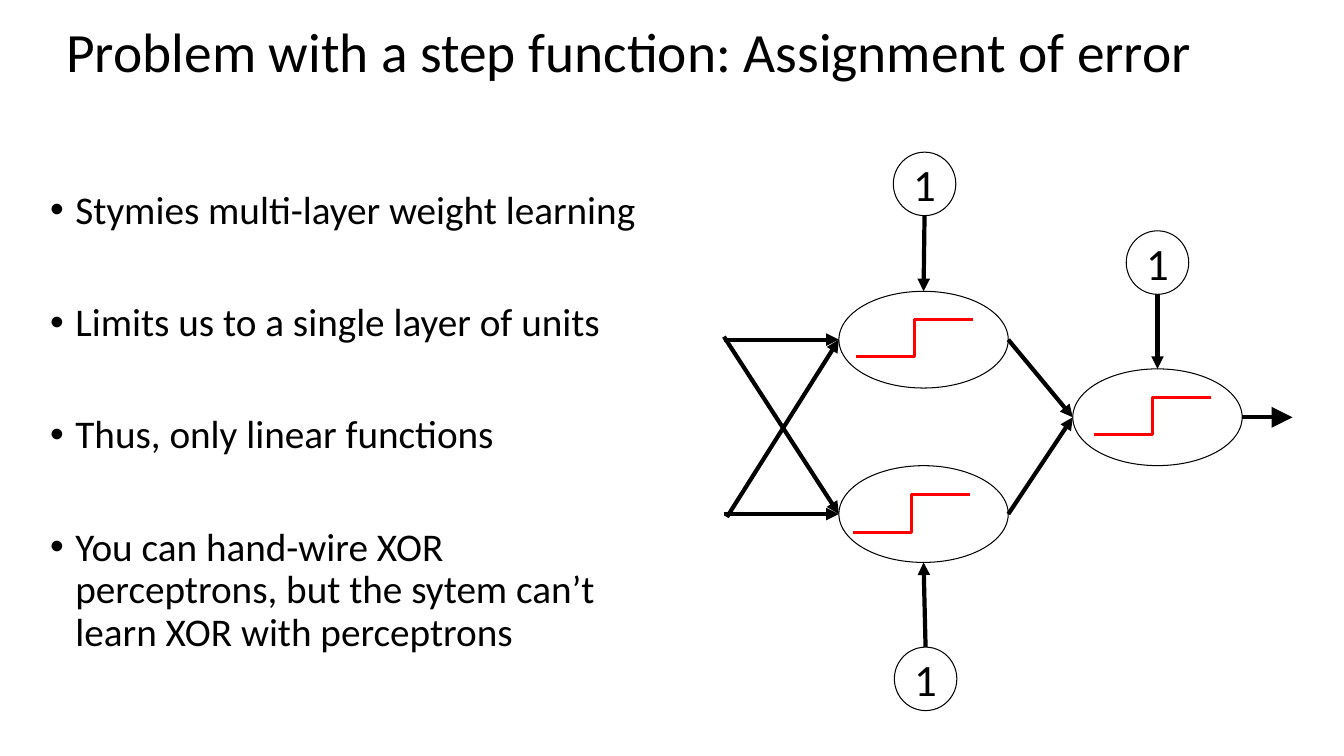
import pptx
import pptx.dml.color
import pptx.enum.shapes
import pptx.enum.text
import pptx.oxml
import pptx.oxml.ns
import pptx.util
from dataclasses import dataclass

Inches, Pt = pptx.util.Inches, pptx.util.Pt
RGB = pptx.dml.color.RGBColor.from_string
ALIGN = pptx.enum.text.PP_ALIGN
ANCHOR = pptx.enum.text.MSO_ANCHOR
CONNECTOR = pptx.enum.shapes.MSO_CONNECTOR
OVAL = pptx.enum.shapes.MSO_SHAPE.OVAL


@dataclass(frozen=True)
class Theme:
    font: str = "Calibri"
    ink: str = "000000"
    paper: str = "FFFFFF"
    step: str = "FF0000"
    title_size: float = 39.6
    body_size: float = 28
    bias_size: float = 32
    outline: float = 0.75
    step_line: float = 2
    arrow_line: float = 3


def add_xml(parent, tag, **attrs):
    el = pptx.oxml.parse_xml(f"<a:{tag} {pptx.oxml.ns.nsdecls('a')}/>")
    for name, value in attrs.items():
        el.set(name, value)
    parent.append(el)


def write(tf, paragraphs, *, size, color, font, align=ALIGN.LEFT,
          anchor=ANCHOR.TOP, wrap=True, spacing=1.0, gap=0, bullet=None):
    tf.word_wrap = wrap
    tf.vertical_anchor = anchor
    for i, text in enumerate(paragraphs):
        p = tf.paragraphs[0] if i == 0 else tf.add_paragraph()
        p.alignment = align
        p.line_spacing = spacing
        if i:
            p.space_before = Pt(gap)
        if bullet:
            pPr = p._p.get_or_add_pPr()
            pPr.set("marL", str(Inches(0.25)))
            pPr.set("indent", str(-Inches(0.25)))
            add_xml(pPr, "buFont", typeface="Arial")
            add_xml(pPr, "buChar", char=bullet)
        r = p.add_run()
        r.text = text
        r.font.name = font
        r.font.size = Pt(size)
        r.font.color.rgb = RGB(color)


class SlideBuilder:
    def __init__(self, slide, theme):
        self.slide = slide
        self.theme = theme

    def text(self, box, paragraphs, **fmt):
        sp = self.slide.shapes.add_textbox(*map(Inches, box))
        write(sp.text_frame, paragraphs, color=self.theme.ink,
              font=self.theme.font, spacing=0.9, **fmt)

    def oval(self, box, fill=None):
        sp = self.slide.shapes.add_shape(OVAL, *map(Inches, box))
        sp.shadow.inherit = False
        if fill:
            sp.fill.solid()
            sp.fill.fore_color.rgb = RGB(fill)
        else:
            sp.fill.background()
        sp.line.color.rgb = RGB(self.theme.ink)
        sp.line.width = Pt(self.theme.outline)
        return sp

    def bias(self, left, top):
        sp = self.oval((left, top, 0.62, 0.63), self.theme.paper)
        write(sp.text_frame, ["1"], size=self.theme.bias_size,
              color=self.theme.ink, font=self.theme.font,
              align=ALIGN.CENTER, anchor=ANCHOR.MIDDLE, wrap=False)

    def connector(self, kind, start, end, color, width):
        cx = self.slide.shapes.add_connector(kind, *map(Inches, start + end))
        cx.line.color.rgb = RGB(color)
        cx.line.width = Pt(width)
        add_xml(cx._element.spPr, "effectLst")
        return cx

    def arrow(self, start, end, head="med"):
        cx = self.connector(CONNECTOR.STRAIGHT, start, end,
                            self.theme.ink, self.theme.arrow_line)
        add_xml(cx.line._get_or_add_ln(), "tailEnd", type="triangle", w=head, len=head)

    def step(self, left, bottom):
        self.connector(CONNECTOR.ELBOW, (left, bottom), (left + 1.16, bottom - 0.37),
                       self.theme.step, self.theme.step_line)


def main():
    prs = pptx.Presentation()
    prs.slide_width, prs.slide_height = Inches(13.33), Inches(7.5)
    theme = Theme()
    s = SlideBuilder(prs.slides.add_slide(prs.slide_layouts[6]), theme)

    # Title and bullets
    s.text((0.56, 0, 12, 1.08), ["Problem with a step function: Assignment of error"],
           size=theme.title_size, anchor=ANCHOR.MIDDLE)
    s.text((0.4, 1.84, 6.07, 5), [
        "Stymies multi-layer weight learning",
        "Limits us to a single layer of units",
        "Thus, only linear functions",
        "You can hand-wire XOR perceptrons, but the sytem can’t learn XOR with perceptrons",
    ], size=theme.body_size, gap=50, bullet="•")

    # Units: two hidden, one output
    unit_w, unit_h = 1.68, 0.96
    hidden_x, output_x = 8.32, 10.64
    upper_y, lower_y, output_y = 3.37, 5.1, 4.14
    for x, y in ((hidden_x, upper_y), (hidden_x, lower_y), (output_x, output_y)):
        s.oval((x, y - unit_h / 2, unit_w, unit_h))

    # Inputs to hidden units
    for start, y in (((7.21, 5.13), upper_y), ((7.18, upper_y), upper_y),
                     ((7.18, 3.34), lower_y), ((7.18, lower_y), lower_y)):
        s.arrow(start, (hidden_x, y))

    # Hidden units to output unit, and the result
    for y in (upper_y, lower_y):
        s.arrow((hidden_x + unit_w, y), (output_x, output_y))
    s.arrow((output_x + unit_w, output_y), (12.82, output_y), head="lg")

    # Bias arrows
    s.arrow((9.17, 2.14), (9.16, upper_y - unit_h / 2))
    s.arrow((9.18, 6.42), (9.16, lower_y + unit_h / 2))
    s.arrow((11.48, 2.88), (11.48, output_y - unit_h / 2))

    # Step functions inside the units
    for left, bottom in ((8.49, 3.54), (8.46, 5.28), (10.85, 4.31)):
        s.step(left, bottom)

    # Bias nodes
    for left, top in ((11.17, 2.29), (8.86, 1.51), (8.87, 6.42)):
        s.bias(left, top)

    prs.save("out.pptx")


if __name__ == "__main__":
    main()
